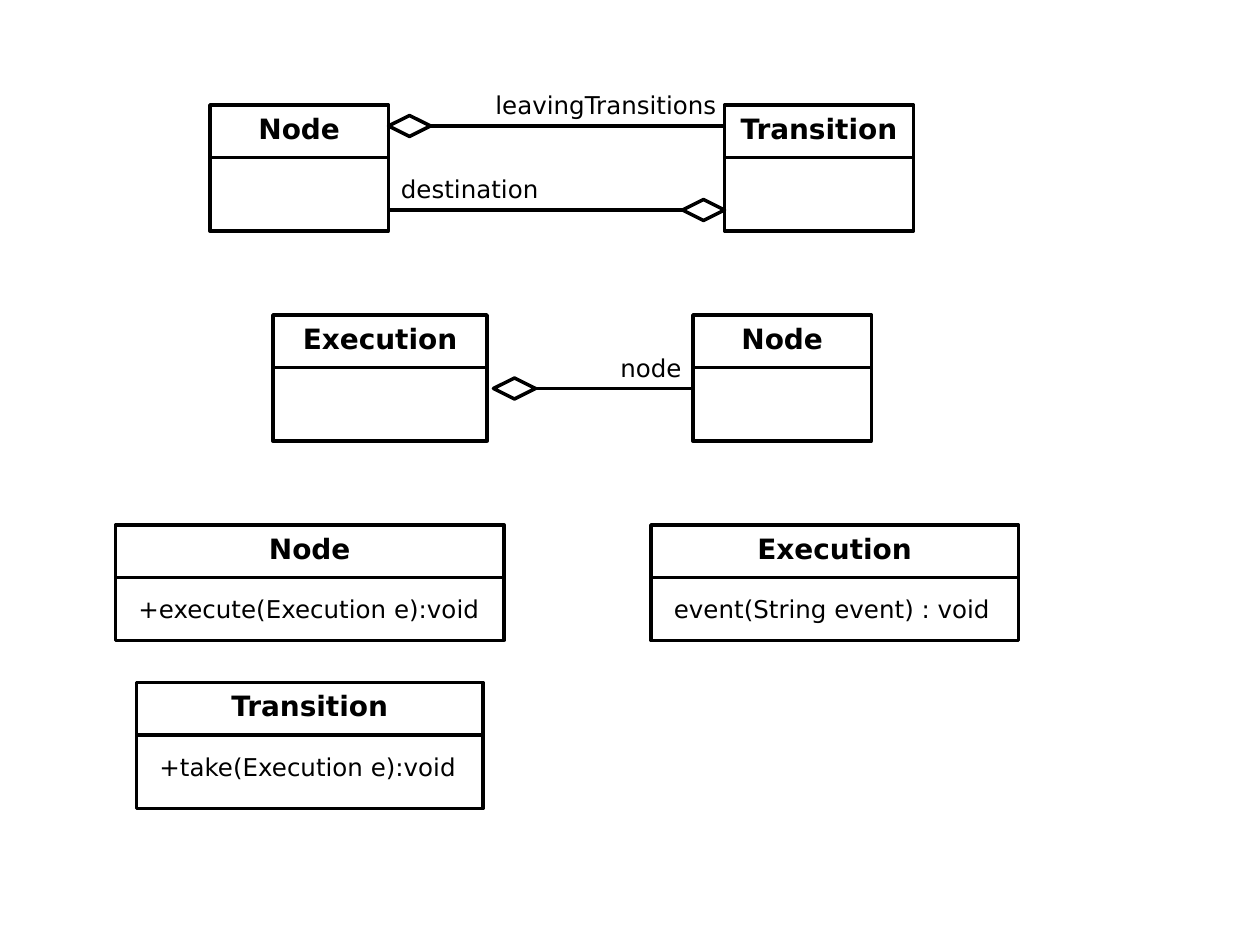
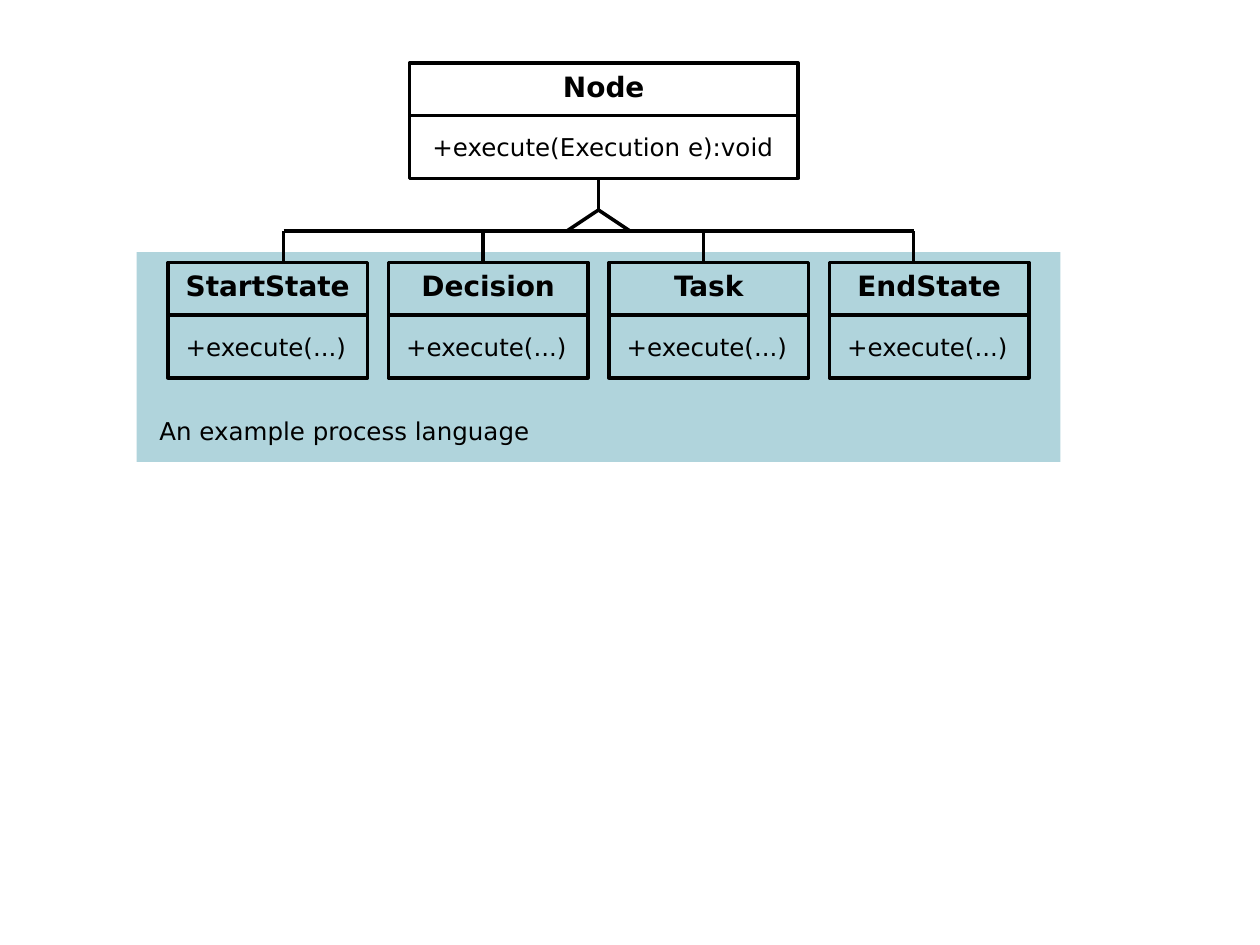
import pptx
import pptx.dml.color
import pptx.enum.shapes
import pptx.enum.text
import pptx.oxml
import pptx.util

PX = 7620  # EMU per px, 120 px to the inch
FONT = "DejaVu Sans"
COLORS = {"ink": "000000", "band": "B0D4DC"}
SHAPE = pptx.enum.shapes.MSO_SHAPE
ALIGN = pptx.enum.text.PP_ALIGN

HEADER_H, MEMBER_DROP, LABEL_H = 50, 60, 41
DIAMOND_W, DIAMOND_H = 40, 20

# name, member, left, top, width, height
MODEL_CLASSES = [
    ("Node", None, 200, 100, 170, 120),
    ("Transition", None, 690, 100, 180, 120),
    ("Execution", None, 260, 300, 204, 120),
    ("Node", None, 660, 300, 170, 120),
    ("Node", "+execute(Execution e):void", 110, 500, 370, 110),
    ("Transition", "+take(Execution e):void", 130, 650, 330, 120),
    ("Execution", "event(String event) : void", 620, 500, 350, 110),
]
# x of the diamond's outer tip, x of the other end, y
AGGREGATIONS = [(370, 690, 120), (690, 370, 200), (470, 660, 370)]
# text, left, top, width, alignment
ROLES = [
    ("leavingTransitions", 460, 80, 241, ALIGN.LEFT),
    ("destination", 370, 160, 241, ALIGN.LEFT),
    ("node", 420, 330, 241, ALIGN.RIGHT),
]

BASE_CLASS = ("Node", "+execute(Execution e):void", 390, 60, 370, 110)
SUBCLASSES = ["StartState", "Decision", "Task", "EndState"]
SUB_MEMBER = "+execute(...)"
SUB_LEFT, SUB_TOP, SUB_W, SUB_H, SUB_STEP = 160, 250, 190, 110, 210
BRANCH_XS = [270, 460, 670, 870]
BRANCH_Y, STEM_X = 220, 570
ARROW_W, ARROW_H = 60, 20
BAND = (130, 240, 880, 200)
CAPTION = ("An example process language", 140, 390, 430)


def emu(*lengths):
    return [n * PX for n in lengths]


def rgb(name):
    return pptx.dml.color.RGBColor.from_string(COLORS[name])


def outline(line):
    line.color.rgb = rgb("ink")
    line.width = pptx.util.Pt(2)


def write(tf, text, size, bold=False, align=ALIGN.LEFT):
    tf.word_wrap = True
    tf.vertical_anchor = pptx.enum.text.MSO_ANCHOR.TOP
    p = tf.paragraphs[0]
    p.text = text
    p.alignment = align
    p.font.name = FONT
    p.font.size = pptx.util.Pt(size)
    p.font.bold = bold
    p.font.color.rgb = rgb("ink")
    return p


def add_shape(slide, kind, x, y, w, h, fill=None):
    """Add a filled shape without a line, or an outlined one without a fill."""
    sp = slide.shapes.add_shape(kind, *emu(x, y, w, h))
    sp.shadow.inherit = False
    if fill:
        sp.fill.solid()
        sp.fill.fore_color.rgb = rgb(fill)
        sp.line.fill.background()
    else:
        sp.fill.background()
        outline(sp.line)
    return sp


def add_line(slide, x1, y1, x2, y2):
    kind = pptx.enum.shapes.MSO_CONNECTOR.STRAIGHT
    cxn = slide.shapes.add_connector(kind, *emu(x1, y1, x2, y2))
    outline(cxn.line)
    props = cxn._element.spPr
    props.append(props.makeelement(pptx.oxml.ns.qn("a:effectLst"), {}))


def add_label(slide, text, x, y, w, align=ALIGN.LEFT):
    tf = slide.shapes.add_textbox(*emu(x, y, w, LABEL_H)).text_frame
    write(tf, text, 14, align=align)
    tf.auto_size = pptx.enum.text.MSO_AUTO_SIZE.SHAPE_TO_FIT_TEXT


def add_class(slide, name, member, x, y, w, h, indent=10):
    sp = add_shape(slide, SHAPE.RECTANGLE, x, y, w, h)
    p = write(sp.text_frame, name, 16, bold=True, align=ALIGN.CENTER)
    p.space_before = pptx.util.Pt(10)
    add_line(slide, x, y + HEADER_H, x + w, y + HEADER_H)
    if member:
        add_label(slide, member, x + indent, y + MEMBER_DROP, w - indent)


def add_aggregation(slide, tip, end, y):
    inner = tip + (DIAMOND_W if end > tip else -DIAMOND_W)
    add_shape(slide, SHAPE.DIAMOND, min(tip, inner), y - DIAMOND_H // 2,
              DIAMOND_W, DIAMOND_H)
    add_line(slide, inner, y, end, y)


def build_model(slide):
    for item in MODEL_CLASSES:
        add_class(slide, *item)
    for link in AGGREGATIONS:
        add_aggregation(slide, *link)
    for role in ROLES:
        add_label(slide, *role)


def build_inheritance(slide):
    add_shape(slide, SHAPE.RECTANGLE, *BAND, fill="band")
    add_class(slide, *BASE_CLASS)
    for i, name in enumerate(SUBCLASSES):
        add_class(slide, name, SUB_MEMBER, SUB_LEFT + i * SUB_STEP, SUB_TOP,
                  SUB_W, SUB_H, indent=5)
    add_line(slide, BRANCH_XS[0], BRANCH_Y, BRANCH_XS[-1], BRANCH_Y)
    for x in BRANCH_XS:
        add_line(slide, x, BRANCH_Y, x, SUB_TOP)
    base_bottom = BASE_CLASS[3] + BASE_CLASS[5]
    arrow_top = BRANCH_Y - ARROW_H
    add_line(slide, STEM_X, base_bottom, STEM_X, arrow_top)
    add_shape(slide, SHAPE.ISOSCELES_TRIANGLE, STEM_X - ARROW_W // 2, arrow_top,
              ARROW_W, ARROW_H)
    add_label(slide, *CAPTION)


def main():
    prs = pptx.Presentation()
    prs.slide_width, prs.slide_height = emu(1200, 900)
    blank = prs.slide_layouts[6]
    for build in (build_model, build_inheritance):
        build(prs.slides.add_slide(blank))
    prs.save("out.pptx")


if __name__ == "__main__":
    main()
